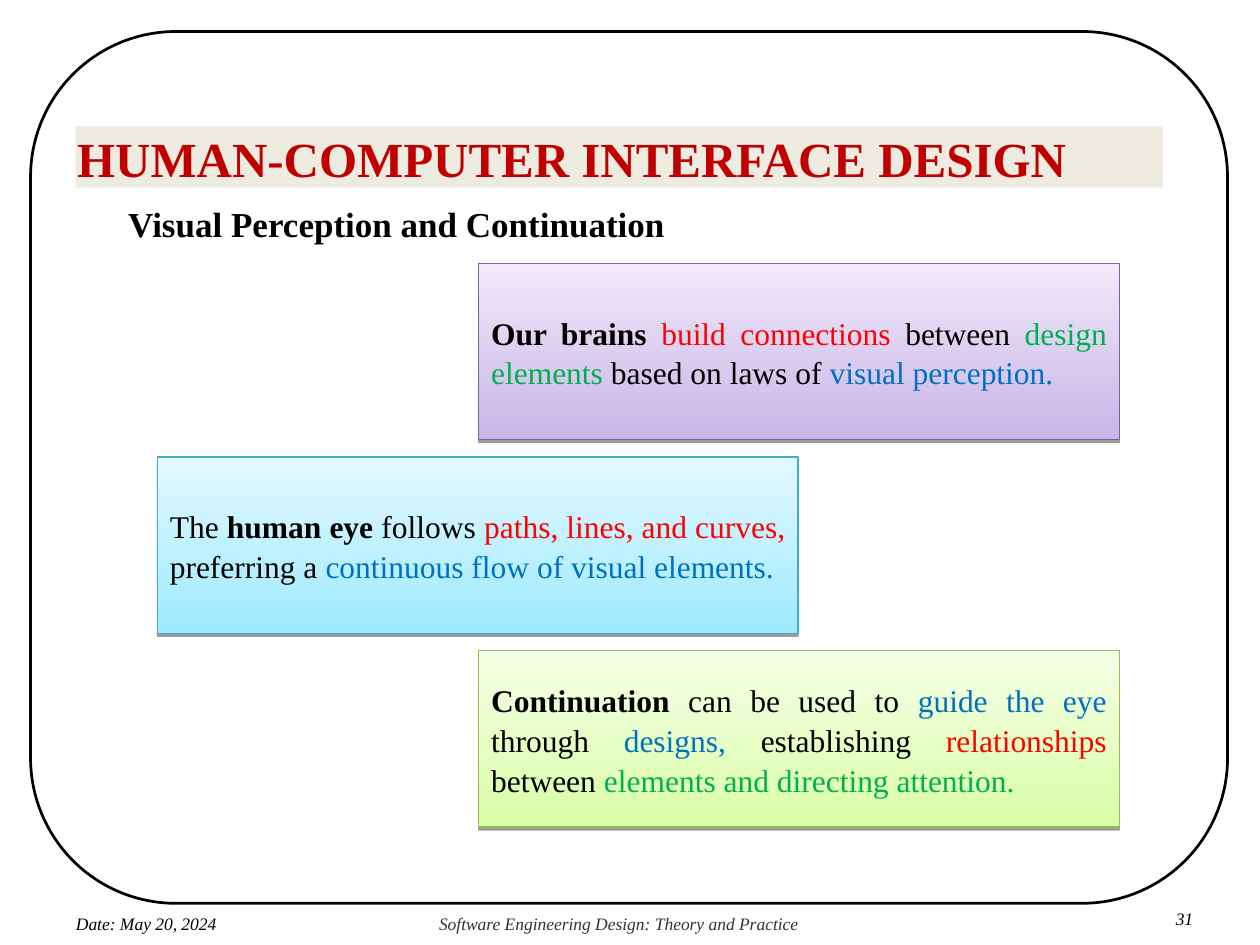
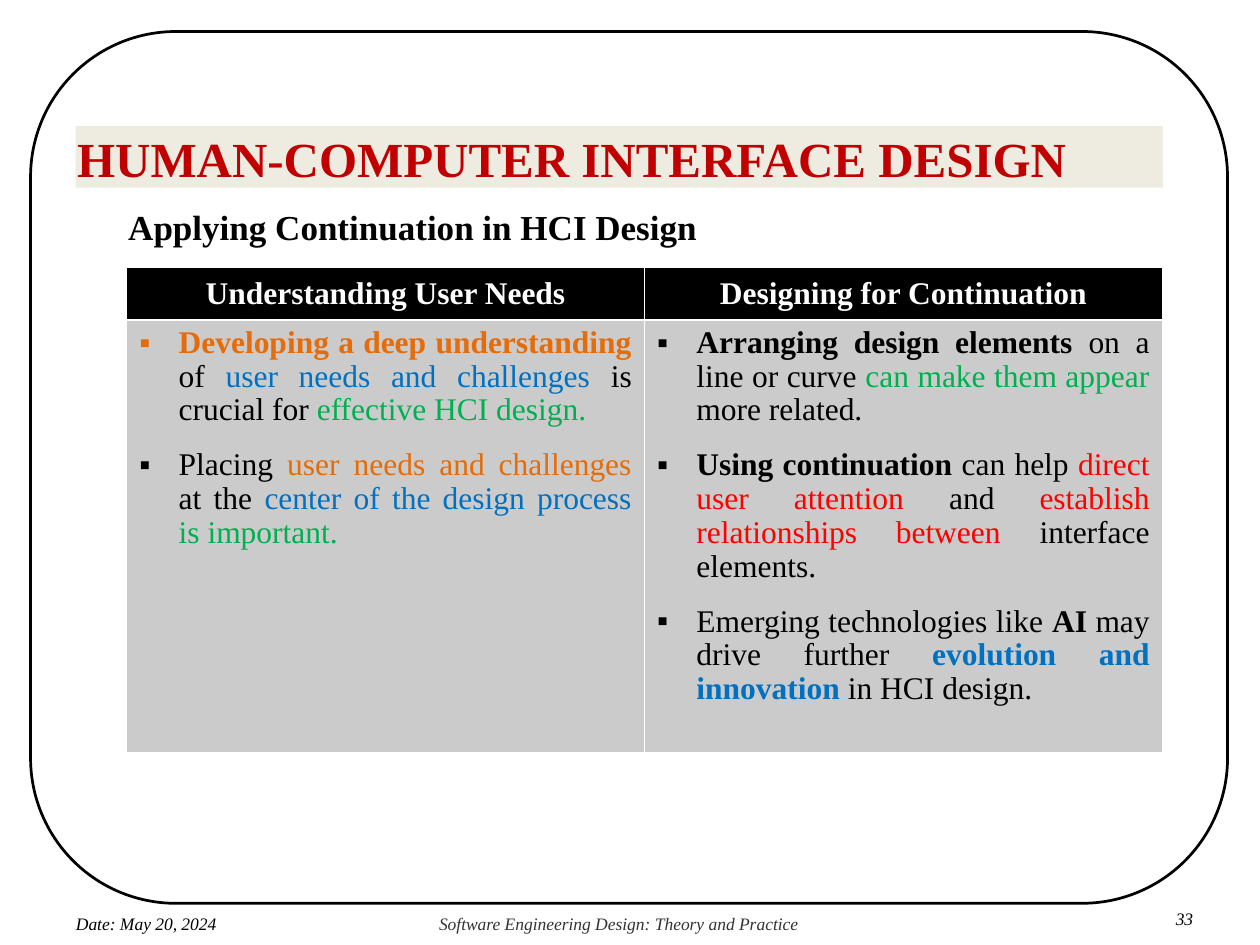
from dataclasses import dataclass
from typing import NamedTuple

from lxml.etree import SubElement as Sub
from pptx import Presentation
from pptx.dml.color import RGBColor as Rgb
from pptx.enum.shapes import MSO_SHAPE as Kind
from pptx.enum.text import MSO_ANCHOR as Anchor, PP_ALIGN as Align
from pptx.oxml.ns import qn
from pptx.util import Pt


@dataclass(frozen=True)
class Theme:
    font: str = "Times New Roman"
    ink: str = "000000"
    white: str = "FFFFFF"
    title: str = "C00000"
    band: str = "EEECE1"
    gray: str = "333333"
    cell: str = "CBCBCB"
    red: str = "FF0000"
    green: str = "00B050"
    blue: str = "0070C0"
    orange: str = "E46C0A"
    head_size: float = 28
    sub_size: float = 20
    body_size: float = 18
    foot_size: float = 10


T = Theme()


class Box(NamedTuple):
    left: float
    top: float
    width: float
    height: float

    def spot(self) -> tuple:
        return tuple(Pt(v) for v in self)


class Bit(NamedTuple):
    text: str
    color: str = T.ink
    bold: bool = False
    slant: bool = False


class Style(NamedTuple):
    size: float
    align: Align = Align.LEFT
    after: float = 0
    lead: object = None


class Card(NamedTuple):
    left: float
    dark: str
    light: str
    edge: str
    bits: list


class Foot(NamedTuple):
    box: Box
    text: str
    color: str


HEAD = Style(T.head_size)
SUB = Style(T.sub_size, Align.JUSTIFY, 6)
CARD = Style(T.body_size, Align.JUSTIFY, 6, 1.05)
TOP = Style(T.body_size, Align.CENTER)
CELL = Style(T.body_size, Align.JUSTIFY, 12, 0.97)
FOOT = Style(T.foot_size, lead=Pt(11.8))

PAD = (7.2, 3.6, 7.2, 3.6)
FRAME = Box(17.5, 18, 684, 498.2)
BAND = Box(43.2, 72, 621.4, 35.3)
NEAR, FAR = 90, 273.6
CARD_TOP, CARD_STEP = 150.5, 110.7
CARD_WIDE, CARD_HIGH = 366, 100.8
GRID = Box(72.4, 152.8, 591.8, 277.2)
ROWS = (30, 247.2)
HANG = 22.5

CARDS = [
    Card(FAR, "C9B5E8", "F0EAF9", "7D60A0", [
        Bit("Our brains ", bold=True),
        Bit("build connections", T.red),
        Bit(" between "),
        Bit("design elements", T.green),
        Bit(" based on laws of "),
        Bit("visual perception.", T.blue),
    ]),
    Card(NEAR, "9EEAFF", "E4F9FF", "46AAC5", [
        Bit("The "),
        Bit("human eye ", bold=True),
        Bit("follows "),
        Bit("paths, lines, and curves,", T.red),
        Bit(" preferring a "),
        Bit("continuous flow of visual elements.", T.blue),
    ]),
    Card(FAR, "DAFDA7", "F5FFE6", "98B954", [
        Bit("Continuation ", bold=True),
        Bit("can be used to "),
        Bit("guide the eye ", T.blue),
        Bit("through "),
        Bit("designs,", T.blue),
        Bit(" establishing "),
        Bit("relationships ", T.red),
        Bit("between "),
        Bit("elements and directing attention.", T.green),
    ]),
]

NEEDS = [
    [
        Bit("Developing a deep understanding ", T.orange, True),
        Bit("of "),
        Bit("user needs and challenges ", T.blue),
        Bit("is crucial for "),
        Bit("effective HCI design.", T.green),
    ],
    [
        Bit("Placing "),
        Bit("user needs and challenges ", T.orange),
        Bit("at the "),
        Bit("center of the design process ", T.blue),
        Bit("is important.", T.green),
    ],
]

DESIGN = [
    [
        Bit("Arranging design elements ", bold=True),
        Bit("on a line or curve "),
        Bit("can make them appear ", T.green),
        Bit("more related."),
    ],
    [
        Bit("Using continuation ", bold=True),
        Bit("can help "),
        Bit("direct user attention ", T.red),
        Bit("and "),
        Bit("establish relationships between", T.red),
        Bit(" interface elements."),
    ],
    [
        Bit("Emerging technologies like "),
        Bit("AI ", bold=True),
        Bit("may drive further "),
        Bit("evolution and innovation", T.blue, True),
        Bit(" in HCI design."),
    ],
]

COLUMNS = [("Understanding User Needs", NEEDS), ("Designing for Continuation", DESIGN)]


def rgb(color: str) -> Rgb:
    return Rgb.from_string(color)


def write(para, bits: list, style: Style) -> None:
    para.alignment = style.align
    para.space_after = Pt(style.after)
    if style.lead:
        para.line_spacing = style.lead
    for bit in bits:
        run = para.add_run()
        run.text = bit.text
        font = run.font
        font.name, font.size = T.font, Pt(style.size)
        font.bold, font.italic = bit.bold, bit.slant
        font.color.rgb = rgb(bit.color)


def fill_text(shape, bits: list, style: Style, pad: tuple = PAD,
              anchor: Anchor = Anchor.TOP) -> None:
    frame = shape.text_frame
    frame.word_wrap = True
    frame.vertical_anchor = anchor
    (frame.margin_left, frame.margin_top,
     frame.margin_right, frame.margin_bottom) = (Pt(v) for v in pad)
    write(frame.paragraphs[0], bits, style)


def add_shape(slide, kind: Kind, box: Box):
    shape = slide.shapes.add_shape(kind, *box.spot())
    shape.shadow.inherit = False
    return shape


def add_text(slide, box: Box, bits: list, style: Style, pad: tuple = PAD) -> None:
    fill_text(slide.shapes.add_textbox(*box.spot()), bits, style, pad)


def add_base(deck, page: str, sub: str, sub_top: float):
    slide = deck.slides.add_slide(deck.slide_layouts[6])
    frame = add_shape(slide, Kind.ROUNDED_RECTANGLE, FRAME)
    frame.fill.background()
    frame.line.color.rgb = rgb(T.ink)
    frame.line.width = Pt(1.56)

    band = add_shape(slide, Kind.RECTANGLE, BAND)
    band.fill.solid()
    band.fill.fore_color.rgb = rgb(T.band)
    band.line.fill.background()
    title = Bit("HUMAN-COMPUTER INTERFACE DESIGN", T.title, True)
    fill_text(band, [title], HEAD, (0.9, 1.7, 0, 0))

    add_text(slide, Box(66.2, sub_top, 598.3, 31.5), [Bit(sub, bold=True)], SUB)
    feet = [
        Foot(Box(42.5, 522, 113.8, 11.8), "Date: May 20, 2024", T.ink),
        Foot(Box(250, 522, 208, 11.8),
             "Software Engineering Design: Theory and Practice", T.gray),
        Foot(Box(671, 519.3, 20, 11.8), page, T.ink),
    ]
    for foot in feet:
        add_text(slide, foot.box, [Bit(foot.text, foot.color, slant=True)],
                 FOOT, (0.9, 0, 0, 0))
    return slide


def add_shade(shape) -> None:
    effect = shape.element.spPr.find(qn("a:effectLst"))
    shade = Sub(effect, qn("a:outerShdw"), dist=str(Pt(1.6)),
                dir="5400000", rotWithShape="0")
    color = Sub(shade, qn("a:srgbClr"), val=T.ink)
    Sub(color, qn("a:alpha"), val="38000")


def add_card(slide, card: Card, top: float) -> None:
    shape = add_shape(slide, Kind.RECTANGLE, Box(card.left, top, CARD_WIDE, CARD_HIGH))
    shape.fill.gradient()
    shape.fill.gradient_angle = 90
    for stop, color in zip(shape.fill.gradient_stops, (card.dark, card.light)):
        stop.color.rgb = rgb(color)
    shape.line.color.rgb = rgb(card.edge)
    shape.line.width = Pt(0.75)
    add_shade(shape)
    fill_text(shape, card.bits, CARD, anchor=Anchor.MIDDLE)


def add_mark(para, color: str) -> None:
    props = para._p.get_or_add_pPr()
    props.set("marL", str(Pt(HANG)))
    props.set("indent", str(-Pt(HANG)))
    Sub(Sub(props, qn("a:buClr")), qn("a:srgbClr"), val=color)
    Sub(props, qn("a:buFont"), typeface=T.font)
    Sub(props, qn("a:buChar"), char="▪")


def dress(cell, color: str, top: float, base: float) -> None:
    props = cell._tc.get_or_add_tcPr()
    for side, width in (("L", 0.45), ("R", 0.45), ("T", top), ("B", base)):
        line = Sub(props, qn(f"a:ln{side}"), w=str(Pt(width)))
        Sub(Sub(line, qn("a:solidFill")), qn("a:srgbClr"), val=T.white)
    cell.fill.solid()
    cell.fill.fore_color.rgb = rgb(color)


def add_grid(slide) -> None:
    table = slide.shapes.add_table(2, len(COLUMNS), *GRID.spot()).table
    table.first_row = table.horz_banding = False
    for row, height in zip(table.rows, ROWS):
        row.height = Pt(height)
    for col, (head, points) in enumerate(COLUMNS):
        table.columns[col].width = Pt(GRID.width / len(COLUMNS))
        cap, body = table.cell(0, col), table.cell(1, col)
        dress(cap, T.ink, 0.45, 1.47)
        dress(body, T.cell, 1.47, 0.45)
        cap.vertical_anchor = Anchor.MIDDLE
        write(cap.text_frame.paragraphs[0], [Bit(head, T.white, True)], TOP)
        frame = body.text_frame
        for i, bits in enumerate(points):
            para = frame.add_paragraph() if i else frame.paragraphs[0]
            add_mark(para, bits[0].color)
            write(para, bits, CELL)


def main() -> None:
    deck = Presentation()
    deck.slide_width, deck.slide_height = Pt(720), Pt(540)

    slide = add_base(deck, "31", "Visual Perception and Continuation", 112.3)
    for i, card in enumerate(CARDS):
        add_card(slide, card, CARD_TOP + i * CARD_STEP)

    slide = add_base(deck, "33", "Applying Continuation in HCI Design", 113.8)
    add_grid(slide)

    deck.save("out.pptx")


if __name__ == "__main__":
    main()
